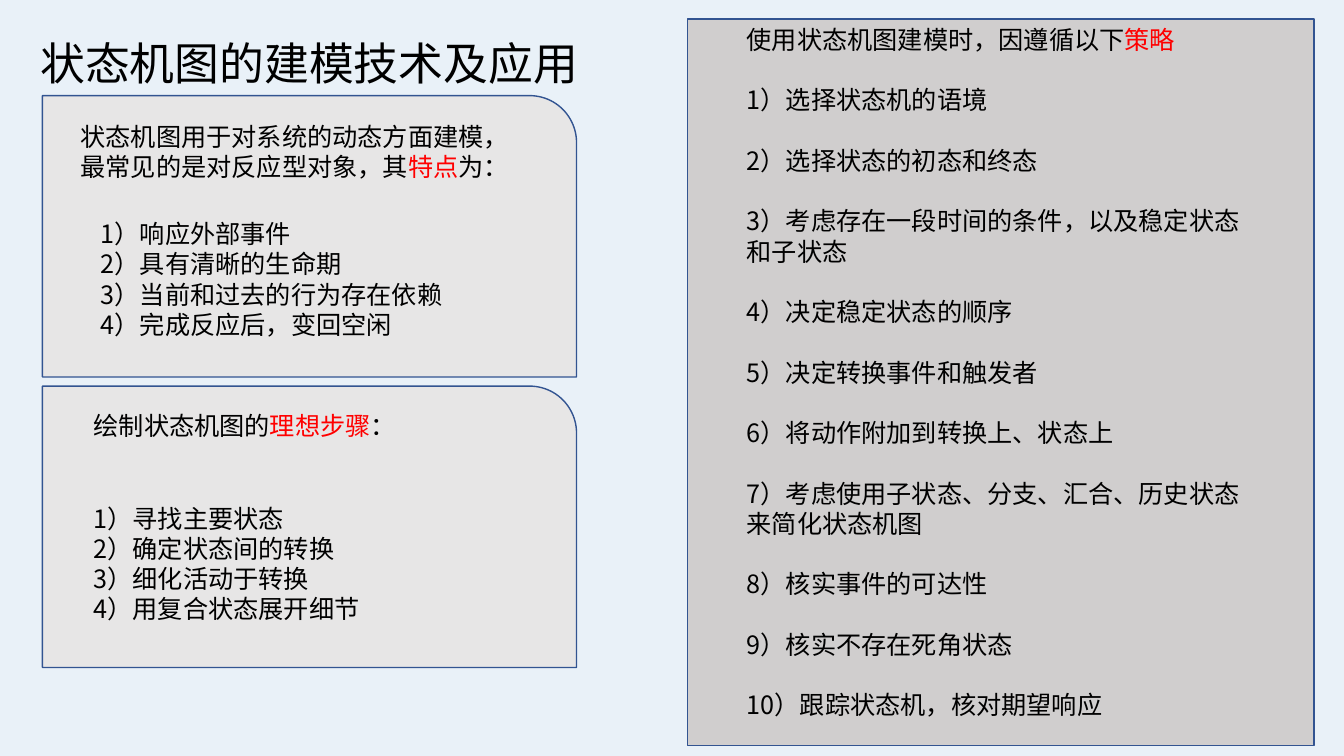
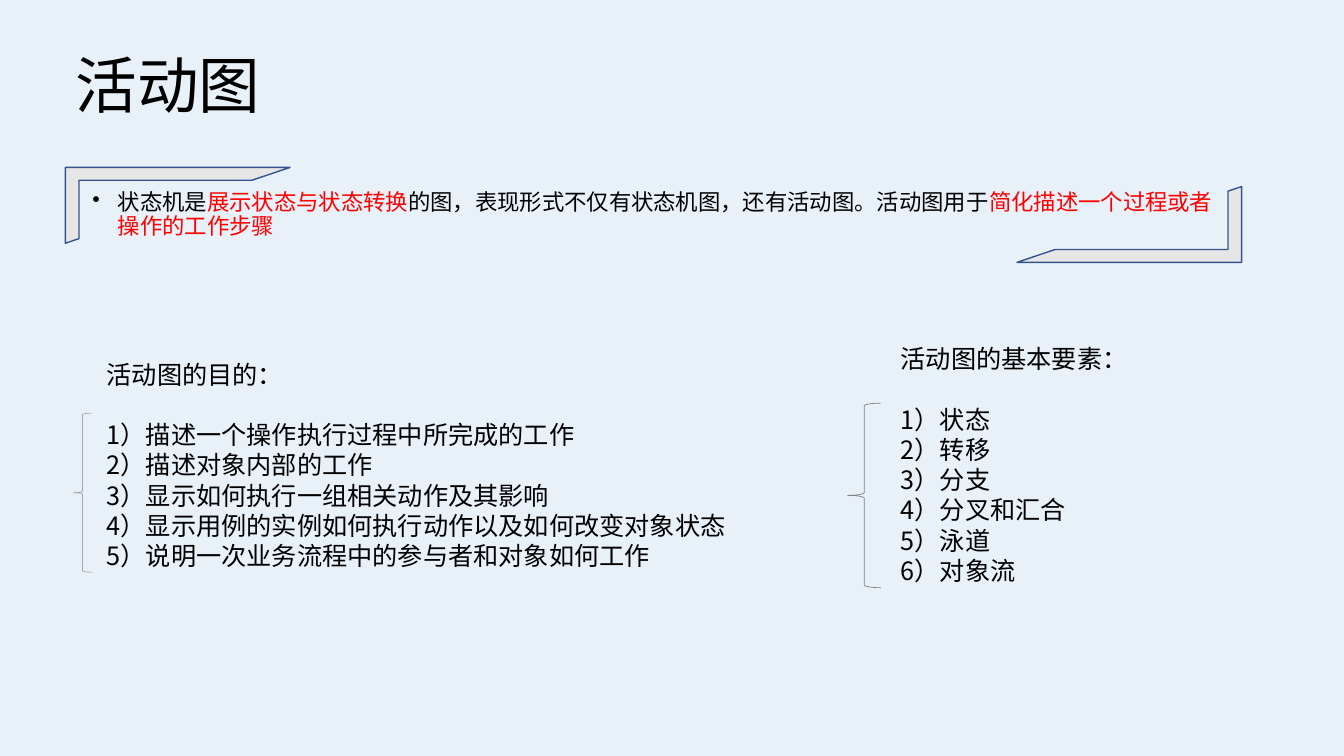
"""Build two slides on modelling with state machine and activity diagrams."""
import lxml.etree
import pptx
import pptx.dml.color
import pptx.enum.shapes
import pptx.enum.text
import pptx.oxml.ns
import pptx.util

Cm = pptx.util.Cm
Pt = pptx.util.Pt
SHAPE = pptx.enum.shapes.MSO_SHAPE
qn = pptx.oxml.ns.qn

FONT = "Noto Sans CJK SC"
BLANK_LINE = Pt(21.6)
COLORS = {
    "background": "E9F1F8",
    "text": "000000",
    "highlight": "FF0000",
    "outline": "325491",
    "panel": "E7E6E6",
    "strategy": "D0CECE",
    "purpose_brace": "A6A6A6",
    "element_brace": "808080",
}
RGB = {part: pptx.dml.color.RGBColor.from_string(value) for part, value in COLORS.items()}


def write(frame, lines, size=18, bullet=None):
    """Fill a frame with lines, where every second piece between bars is highlighted."""
    frame.word_wrap = True
    for number, line in enumerate(lines):
        paragraph = frame.paragraphs[0] if number == 0 else frame.add_paragraph()
        paragraph.alignment = pptx.enum.text.PP_ALIGN.LEFT
        properties = paragraph._p.get_or_add_pPr()
        if bullet:
            properties.set("marL", str(Cm(0.64)))
            properties.set("indent", str(-Cm(0.64)))
            lxml.etree.SubElement(properties, qn("a:buChar")).set("char", bullet)
        paragraph.font.size = Pt(size)
        paragraph.font.name = FONT
        paragraph.font.color.rgb = RGB["text"]
        east_asian = lxml.etree.SubElement(properties.find(qn("a:defRPr")), qn("a:ea"))
        east_asian.set("typeface", FONT)
        for position, piece in enumerate(line.split("|")):
            run = paragraph.add_run()
            run.text = piece
            if position % 2:
                run.font.color.rgb = RGB["highlight"]
    return frame.paragraphs


def draw(slide, kind, box, fill, outline="outline", weight=1):
    """Add a preset shape with its fill and outline."""
    shape = slide.shapes.add_shape(kind, *map(Cm, box))
    shape.shadow.inherit = False
    if fill:
        shape.fill.solid()
        shape.fill.fore_color.rgb = RGB[fill]
    else:
        shape.fill.background()
    shape.line.color.rgb = RGB[outline]
    shape.line.width = Pt(weight)
    return shape


deck = pptx.Presentation()
deck.slide_width = Cm(33.87)
deck.slide_height = Cm(19.05)
deck.slide_master.background.fill.solid()
deck.slide_master.background.fill.fore_color.rgb = RGB["background"]

slides = []
for heading, size, box in [
    ("状态机图的建模技术及应用", 32, (0.76, 0.41, 14.12, 2.51)),
    ("活动图", 44, (1.65, 0.97, 5.66, 2.54)),
]:
    slide = deck.slides.add_slide(deck.slide_layouts[5])
    title = slide.shapes.title
    title.left, title.top, title.width, title.height = map(Cm, box)
    title.text_frame.auto_size = pptx.enum.text.MSO_AUTO_SIZE.NONE
    title.text_frame.vertical_anchor = pptx.enum.text.MSO_ANCHOR.MIDDLE
    write(title.text_frame, [heading], size)[0].line_spacing = 0.9
    slides.append(slide)
modelling, activity = slides

for top in (2.41, 9.73):
    draw(modelling, SHAPE.ROUND_1_RECTANGLE, (1.07, top, 13.46, 7.09), "panel")
draw(modelling, SHAPE.RECTANGLE, (17.32, 0.48, 15.8, 18.31), "strategy")

for box, lines in [
    ((1.78, 2.92, 10.74, 1.8), ["状态机图用于对系统的动态方面建模，最常见的是对反应型对象，其|特点|为："]),
    ((2.29, 5.38, 9.78, 3.33), [
        "1）响应外部事件",
        "2）具有清晰的生命期",
        "3）当前和过去的行为存在依赖",
        "4）完成反应后，变回空闲",
    ]),
    ((2.11, 10.21, 10.44, 1.02), ["绘制状态机图的|理想步骤|："]),
    ((2.11, 12.55, 10.97, 3.33), [
        "1）寻找主要状态",
        "2）确定状态间的转换",
        "3）细化活动于转换",
        "4）用复合状态展开细节",
    ]),
    ((18.57, 0.48, 11.68, 1.02), ["使用状态机图建模时，因遵循以下|策略"]),
]:
    write(modelling.shapes.add_textbox(*map(Cm, box)).text_frame, lines)

strategies = modelling.shapes.add_textbox(Cm(18.57), Cm(2.01), Cm(13.54), Cm(16.41))
steps = write(strategies.text_frame, [
    "1）选择状态机的语境",
    "2）选择状态的初态和终态",
    "3）考虑存在一段时间的条件，以及稳定状态和子状态",
    "4）决定稳定状态的顺序",
    "5）决定转换事件和触发者",
    "6）将动作附加到转换上、状态上",
    "7）考虑使用子状态、分支、汇合、历史状态来简化状态机图",
    "8）核实事件的可达性",
    "9）核实不存在死角状态",
    "10）跟踪状态机，核对期望响应",
])
for step in steps[1:]:
    step.space_before = BLANK_LINE

definition = activity.shapes.add_textbox(Cm(2.08), Cm(4.7), Cm(28.96), Cm(3))
write(definition.text_frame, [
    "状态机是|展示状态与状态转换|的图，表现形式不仅有状态机图，还有活动图。"
    "活动图用于|简化描述一个过程或者操作的工作步骤",
], 16, "•")[0].line_spacing = 0.9

for box, brace, brace_color, lines in [
    ((2.44, 8.92, 16.46, 5.64), (1.85, 10.41, 0.46, 4.01), "purpose_brace", [
        "活动图的目的：",
        "1）描述一个操作执行过程中所完成的工作",
        "2）描述对象内部的工作",
        "3）显示如何执行一组相关动作及其影响",
        "4）显示用例的实例如何执行动作以及如何改变对象状态",
        "5）说明一次业务流程中的参与者和对象如何工作",
    ]),
    ((22.45, 8.53, 7.9, 6.4), (21.36, 10.16, 0.84, 4.65), "element_brace", [
        "活动图的基本要素：",
        "1）状态",
        "2）转移",
        "3）分支",
        "4）分叉和汇合",
        "5）泳道",
        "6）对象流",
    ]),
]:
    points = write(activity.shapes.add_textbox(*map(Cm, box)).text_frame, lines)
    points[1].space_before = BLANK_LINE
    draw(activity, SHAPE.LEFT_BRACE, brace, None, brace_color, 0.5)

for left, top, turn in [(1.65, 4.22, 0), (25.63, 4.7, 180)]:
    corner = draw(activity, SHAPE.HALF_FRAME, (left, top, 5.66, 1.91), "panel")
    corner.adjustments[0] = 0.17
    corner.adjustments[1] = 0.18
    corner.rotation = turn

deck.save("out.pptx")
